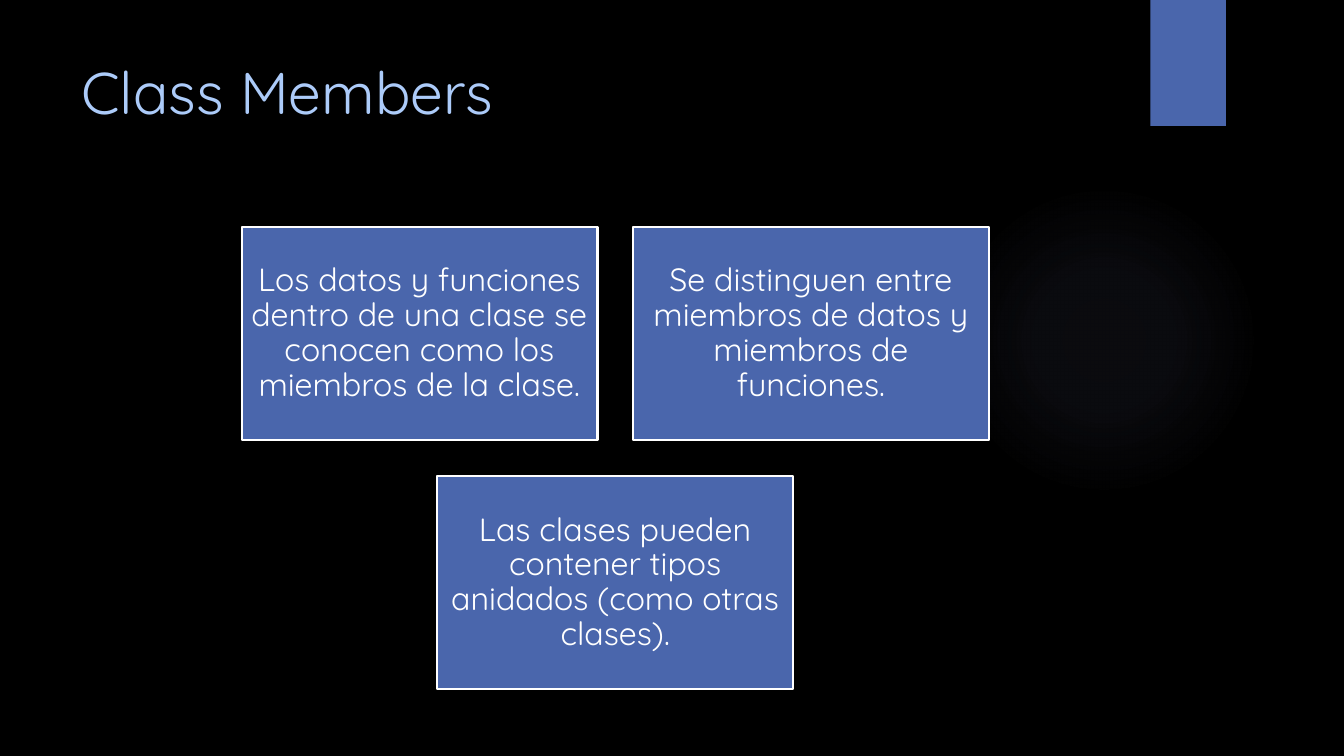
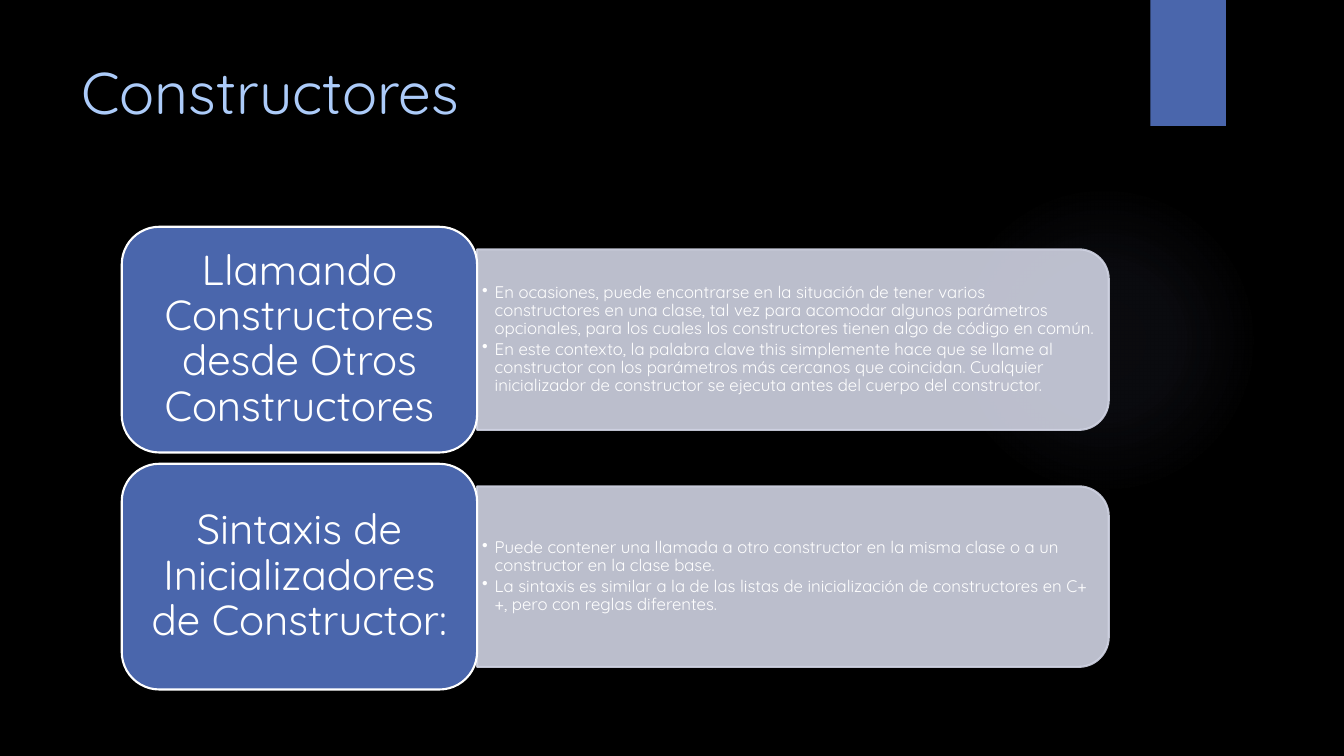
from pptx import Presentation
from pptx.dml.color import RGBColor
from pptx.enum.shapes import MSO_SHAPE
from pptx.enum.text import MSO_ANCHOR, MSO_AUTO_SIZE, PP_ALIGN
from pptx.oxml import parse_xml
from pptx.oxml.ns import nsdecls, qn
from pptx.util import Pt
from lxml.etree import SubElement

FONT = "Quicksand"
BLACK, WHITE = "000000", "FFFFFF"
BLUE, SKY, PANEL, GLOW = "4A66AC", "ACCBF9", "D0D3E3", "9297CF"
CONTENT = (87, 162, 705, 330.5)

MEMBERS = [
    "Los datos y funciones dentro de una clase se conocen como los miembros de la clase.",
    "Se distinguen entre miembros de datos y miembros de funciones.",
    "Las clases pueden contener tipos anidados (como otras clases).",
]
CONSTRUCTORS = [
    ("Llamando Constructores desde Otros Constructores", [
        "En ocasiones, puede encontrarse en la situación de tener varios constructores en una clase, "
        "tal vez para acomodar algunos parámetros opcionales, para los cuales los constructores "
        "tienen algo de código en común.",
        "En este contexto, la palabra clave this simplemente hace que se llame al constructor con los "
        "parámetros más cercanos que coincidan. Cualquier inicializador de constructor se ejecuta "
        "antes del cuerpo del constructor.",
    ]),
    ("Sintaxis de Inicializadores de Constructor:", [
        "Puede contener una llamada a otro constructor en la misma clase o a un constructor en la "
        "clase base.",
        "La sintaxis es similar a la de las listas de inicialización de constructores en C++, pero "
        "con reglas diferentes.",
    ]),
]


def rgb(value):
    return RGBColor.from_string(value)


def add_box(s, kind, x, y, w, h, fill=None, line=None):
    sp = s.shapes.add_shape(kind, Pt(x), Pt(y), Pt(w), Pt(h))
    sp.shadow.inherit = False
    if fill:
        sp.fill.solid()
        sp.fill.fore_color.rgb = rgb(fill)
    else:
        sp.fill.background()
    if line:
        sp.line.color.rgb = rgb(line)
        sp.line.width = Pt(1.5)
    else:
        sp.line.fill.background()
    return sp


def set_frame(tf, dx, dy, anchor=MSO_ANCHOR.MIDDLE):
    tf.word_wrap = True
    tf.auto_size = MSO_AUTO_SIZE.NONE
    tf.vertical_anchor = anchor
    tf.margin_left = tf.margin_right = Pt(dx)
    tf.margin_top = tf.margin_bottom = Pt(dy)


def add_run(p, text, size, color=WHITE):
    r = p.add_run()
    r.text = text
    r.font.name = FONT
    r.font.size = Pt(size)
    r.font.color.rgb = rgb(color)


def add_card(s, kind, x, y, w, h, text, size, dx, dy):
    sp = add_box(s, kind, x, y, w, h, BLUE, WHITE)
    set_frame(sp.text_frame, dx, dy)
    p = sp.text_frame.paragraphs[0]
    p.alignment = PP_ALIGN.CENTER
    p.line_spacing = 0.9
    p.space_after = Pt(0.35 * size)
    add_run(p, text, size)


def add_panel(s, x, y, w, h, items):
    sp = add_box(s, MSO_SHAPE.ROUND_2_SAME_RECTANGLE,
                 x + (w - h) / 2, y + (h - w) / 2, h, w, PANEL, PANEL)
    sp.rotation = 90
    for clr in list(sp.element.spPr.iter(qn("a:srgbClr"))):
        SubElement(clr, qn("a:alpha"), val="90000")
    margin = h * 0.05
    tb = s.shapes.add_textbox(Pt(x), Pt(y + margin), Pt(w - margin), Pt(h - 2 * margin))
    tf = tb.text_frame
    set_frame(tf, 3.6, 2)
    for i, item in enumerate(items):
        p = tf.add_paragraph() if i else tf.paragraphs[0]
        p.level = 1
        pPr = p._p.get_or_add_pPr()
        pPr.set("marL", str(Pt(9)))
        pPr.set("indent", str(Pt(-9)))
        SubElement(pPr, qn("a:buChar"), char="•")
        p.alignment = PP_ALIGN.LEFT
        p.line_spacing = 0.9
        p.space_after = Pt(1.8)
        add_run(p, item, 12)


def add_glow(s, x, y, size):
    sp = add_box(s, MSO_SHAPE.OVAL, x, y, size, size)
    stops = "".join(
        f'<a:gs pos="{pos}000"><a:srgbClr val="{GLOW}"><a:alpha val="{alpha}000"/></a:srgbClr></a:gs>'
        for pos, alpha in ((0, 7), (36, 6), (69, 0)))
    grad = parse_xml(
        f'<a:gradFill {nsdecls("a")} rotWithShape="1"><a:gsLst>{stops}</a:gsLst><a:path path="circle">'
        '<a:fillToRect l="50000" t="50000" r="50000" b="50000"/></a:path></a:gradFill>')
    spPr = sp.element.spPr
    spPr.replace(spPr.find(qn("a:noFill")), grad)
    return sp


def style_master(prs, layout, s):
    master = prs.slide_master
    master.background.fill.solid()
    master.background.fill.fore_color.rgb = rgb(BLACK)
    glow = add_glow(s, 677.5, 131.8, 221.8)
    tab = add_box(s, MSO_SHAPE.RECTANGLE, 821.7, 0, 54, 90, BLUE)
    for i, sp in enumerate((glow, tab)):
        master.shapes.element.insert(2 + i, sp.element)
    title = layout.placeholders[0]
    title.left, title.top, title.width, title.height = Pt(51), Pt(36), Pt(741), Pt(110)


def add_title(s, text):
    tf = s.shapes.title.text_frame
    set_frame(tf, 7.2, 3.6, MSO_ANCHOR.TOP)
    p = tf.paragraphs[0]
    p.alignment = PP_ALIGN.LEFT
    add_run(p, text, 42, SKY)


def add_card_grid(s, box, texts, cols=2):
    x, y, w, h = box
    card_w = h / 1.3
    card_h, gap = card_w * 0.6, card_w * 0.1
    for start in range(0, len(texts), cols):
        row = texts[start:start + cols]
        left = x + (w - len(row) * card_w - (len(row) - 1) * gap) / 2
        top = y + start // cols * (card_h + gap)
        for i, text in enumerate(row):
            add_card(s, MSO_SHAPE.RECTANGLE, left + i * (card_w + gap), top,
                     card_w, card_h, text, 23, 6.9, 6.9)


def add_topic_rows(s, box, topics):
    x, y, w, h = box
    n = len(topics)
    row_h = h / (n + 0.05 * (n - 1))
    card_w = w * 0.36
    for i, (heading, items) in enumerate(topics):
        top = y + i * row_h * 1.05
        add_panel(s, x + card_w, top + row_h * 0.1, w - card_w, row_h * 0.8, items)
        add_card(s, MSO_SHAPE.ROUNDED_RECTANGLE, x, top, card_w, row_h, heading, 30, 9, 4.5)


def main():
    prs = Presentation()
    prs.slide_width, prs.slide_height = Pt(960), Pt(540)
    layout = prs.slide_layouts[5]
    slides = [
        ("Class Members", add_card_grid, MEMBERS),
        ("Constructores", add_topic_rows, CONSTRUCTORS),
    ]
    for i, (title, add_content, data) in enumerate(slides):
        s = prs.slides.add_slide(layout)
        if i == 0:
            style_master(prs, layout, s)
        add_title(s, title)
        add_content(s, CONTENT, data)
    prs.save("out.pptx")


if __name__ == "__main__":
    main()
